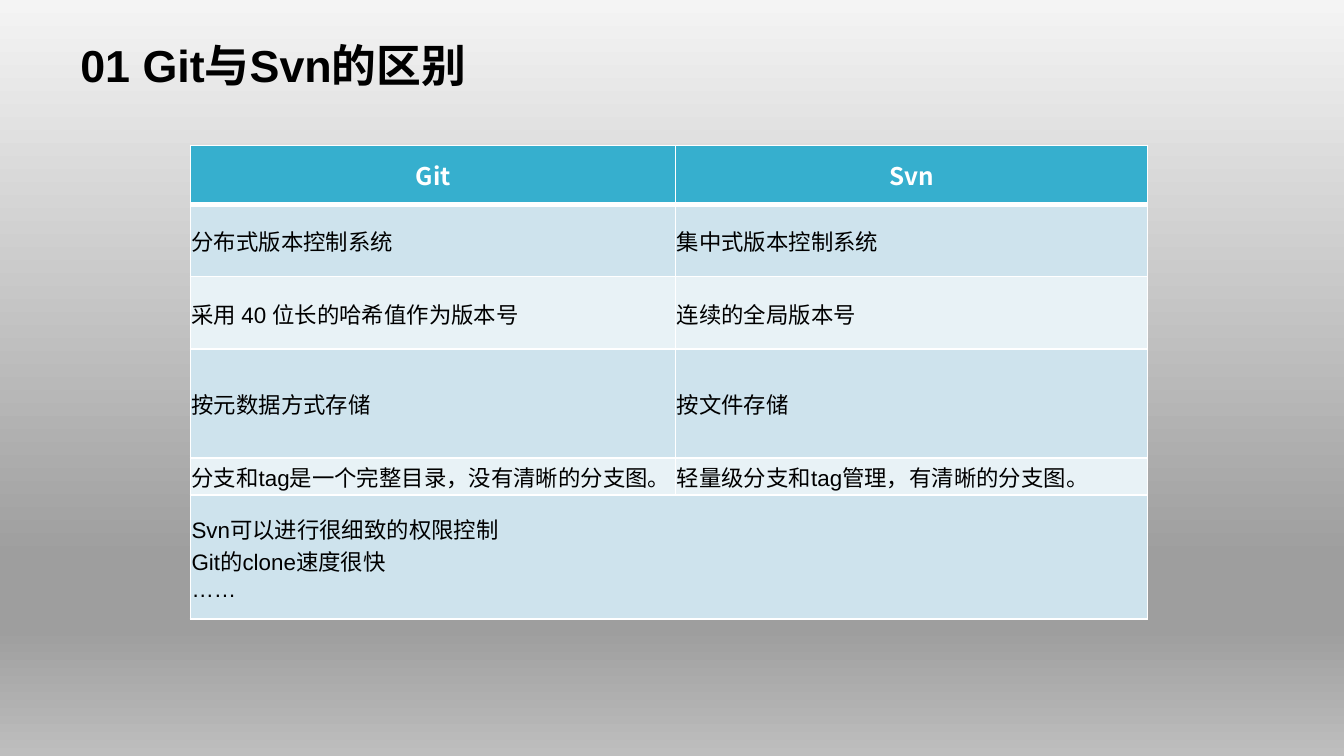
from lxml import etree
from pptx import Presentation
from pptx import util as u
from pptx.dml.color import RGBColor
from pptx.enum import text
from pptx.oxml import ns

WHITE = RGBColor(0xFF, 0xFF, 0xFF)
BLACK = RGBColor(0x00, 0x00, 0x00)
HEADER = RGBColor(0x36, 0xAF, 0xCE)
BAND_DARK = RGBColor(0xCE, 0xE3, 0xED)
BAND_LIGHT = RGBColor(0xE8, 0xF2, 0xF6)
BACKGROUND_STOPS = [
    (0, RGBColor(0xF4, 0xF4, 0xF4)),
    (74, RGBColor(0x9E, 0x9E, 0x9E)),
    (83, RGBColor(0x9E, 0x9E, 0x9E)),
    (100, RGBColor(0xBE, 0xBE, 0xBE)),
]
LATIN_FONT = "Arial"
CHINESE_FONT = "Noto Sans CJK SC"

COLUMN_WIDTHS = [9.17, 8.92]
ROW_HEIGHTS = [1.11, 1.37, 1.37, 2.06, 0.7, 2.34]
ROWS = [
    ("Git", "Svn"),
    ("分布式版本控制系统", "集中式版本控制系统"),
    ("采用 40 位长的哈希值作为版本号", "连续的全局版本号"),
    ("按元数据方式存储", "按文件存储"),
    ("分支和tag是一个完整目录，没有清晰的分支图。", "轻量级分支和tag管理，有清晰的分支图。"),
    ("Svn可以进行很细致的权限控制\nGit的clone速度很快\n……", ""),
]


def add_element(parent, tag, **attributes):
    return etree.SubElement(parent, ns.qn(tag), **attributes)


def set_background(slide):
    fill = slide.background.fill
    fill.gradient()
    fill.gradient_angle = 270
    stops = slide.background._cSld.find(".//" + ns.qn("a:gsLst"))
    for stop in list(stops):
        stops.remove(stop)
    for position, color in BACKGROUND_STOPS:
        stop = add_element(stops, "a:gs", pos=str(position * 1000))
        add_element(stop, "a:srgbClr", val=str(color))


def format_text(text_frame, size, color, bold, latin=LATIN_FONT):
    for paragraph in text_frame.paragraphs:
        for run in paragraph.runs:
            font = run.font
            font.name, font.size, font.bold = latin, u.Pt(size), bold
            font.color.rgb = color
            add_element(run._r.get_or_add_rPr(), "a:ea", typeface=CHINESE_FONT)


def add_title(slide, title):
    box = slide.shapes.add_textbox(u.Cm(1.27), u.Cm(0.71), u.Cm(21.89), u.Cm(1.68))
    text_frame = box.text_frame
    text_frame.word_wrap = True
    text_frame.text = title
    text_frame.paragraphs[0].line_spacing = 0.9
    format_text(text_frame, 24, BLACK, True)


def set_borders(cell, top, bottom):
    properties = cell._tc.get_or_add_tcPr()
    for side, width in (("L", 1), ("R", 1), ("T", top), ("B", bottom)):
        line = add_element(properties, f"a:ln{side}", w=str(u.Pt(width)))
        solid = add_element(line, "a:solidFill")
        add_element(solid, "a:srgbClr", val=str(WHITE))


def fill_cell(cell, content, row):
    is_header = row == 0
    cell.margin_left = cell.margin_right = cell.margin_top = u.Cm(0.02)
    cell.margin_bottom = 0
    cell.vertical_anchor = text.MSO_ANCHOR.MIDDLE
    set_borders(cell, top=3 if row == 1 else 1, bottom=3 if is_header else 1)
    cell.fill.solid()
    cell.text_frame.text = content
    if is_header:
        cell.fill.fore_color.rgb = HEADER
        cell.text_frame.paragraphs[0].alignment = text.PP_ALIGN.CENTER
        format_text(cell.text_frame, 13, WHITE, True, CHINESE_FONT)
    else:
        cell.fill.fore_color.rgb = BAND_DARK if row % 2 else BAND_LIGHT
        format_text(cell.text_frame, 12, BLACK, False)


def add_comparison_table(slide):
    frame = slide.shapes.add_table(
        len(ROWS), len(COLUMN_WIDTHS), u.Cm(3.6), u.Cm(2.75),
        u.Cm(sum(COLUMN_WIDTHS)), u.Cm(sum(ROW_HEIGHTS)))
    table = frame.table
    for column, width in zip(table.columns, COLUMN_WIDTHS):
        column.width = u.Cm(width)
    for row, height in zip(table.rows, ROW_HEIGHTS):
        row.height = u.Cm(height)
    for row, contents in enumerate(ROWS):
        for column, content in enumerate(contents):
            fill_cell(table.cell(row, column), content, row)
    last = len(ROWS) - 1
    table.cell(last, 0).merge(table.cell(last, 1))


def main():
    presentation = Presentation()
    presentation.slide_width = u.Cm(25.4)
    presentation.slide_height = u.Cm(14.29)
    slide = presentation.slides.add_slide(presentation.slide_layouts[6])
    set_background(slide)
    add_title(slide, "01 Git与Svn的区别")
    add_comparison_table(slide)
    presentation.save("out.pptx")


if __name__ == "__main__":
    main()
